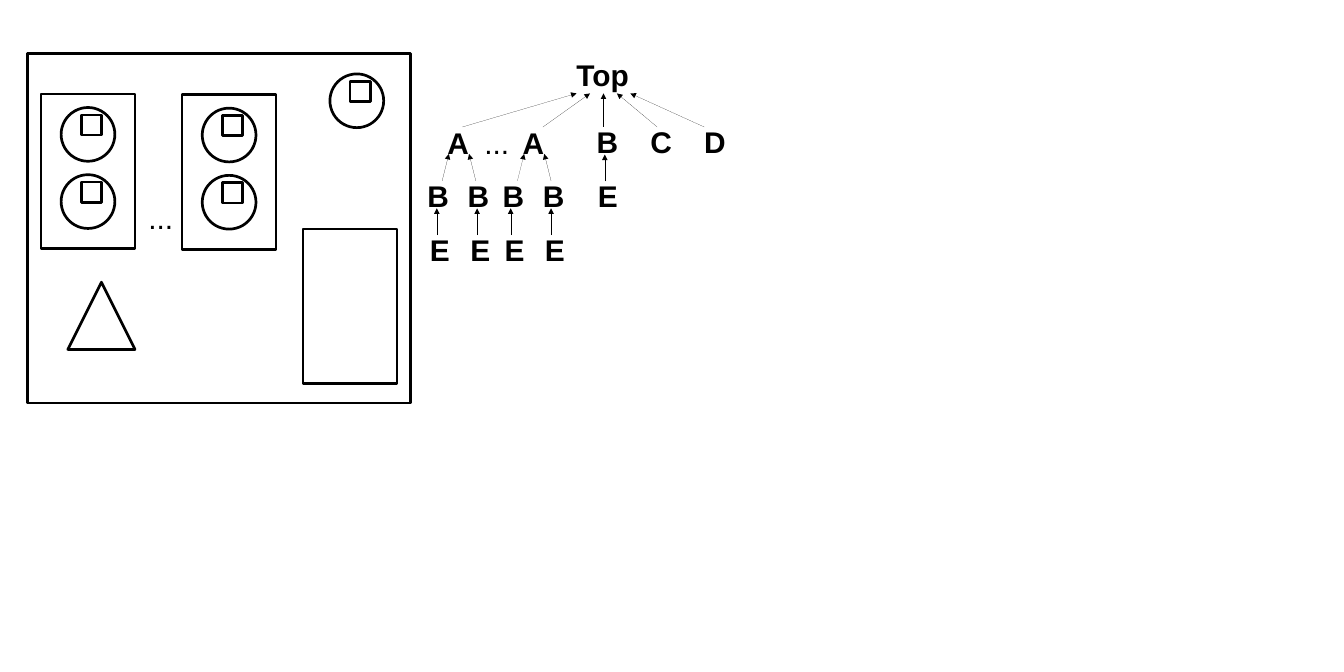
from dataclasses import dataclass

from pptx import Presentation
from pptx import util as u
from pptx.dml.color import RGBColor
from pptx.enum import shapes, text
from pptx.oxml import parse_xml
from pptx.oxml.ns import nsdecls

BLACK = RGBColor(0, 0, 0)
FONT = "Arial"
CELL = 2.54  # centimetres in one grid unit
RECT = shapes.MSO_SHAPE.RECTANGLE
OVAL = shapes.MSO_SHAPE.OVAL
TRIANGLE = shapes.MSO_SHAPE.ISOSCELES_TRIANGLE


@dataclass
class Outline:
    kind: shapes.MSO_SHAPE
    left: float
    top: float
    width: float
    height: float


@dataclass
class Label:
    words: str
    left: float
    top: float
    width: float = 0.52
    height: float = 0.6
    bold: bool = True
    wrap: bool = True


@dataclass
class Arrow:
    x1: float
    y1: float
    x2: float
    y2: float


def grid(units: float) -> u.Cm:
    return u.Cm(units * CELL)


def draw_outline(parent, item: Outline) -> None:
    shape = parent.add_shape(item.kind, grid(item.left), grid(item.top),
                             grid(item.width), grid(item.height))
    shape.shadow.inherit = False
    shape.fill.background()
    shape.line.color.rgb = BLACK
    shape.line.width = u.Pt(2.89)


def draw_label(parent, item: Label) -> None:
    box = parent.add_textbox(grid(item.left), grid(item.top),
                             grid(item.width), grid(item.height))
    frame = box.text_frame
    frame.word_wrap = item.wrap
    frame.auto_size = text.MSO_AUTO_SIZE.SHAPE_TO_FIT_TEXT
    span = frame.paragraphs[0].add_run()
    span.text = item.words
    span.font.name = FONT
    span.font.size = u.Pt(32)
    span.font.bold = item.bold
    span.font.color.rgb = BLACK


def draw_arrow(parent, item: Arrow) -> None:
    arrow = parent.add_connector(shapes.MSO_CONNECTOR.STRAIGHT, grid(item.x1), grid(item.y1),
                                 grid(item.x2), grid(item.y2))
    arrow.line.color.rgb = BLACK
    stroke = arrow.line._get_or_add_ln()
    stroke.set("w", "0")  # hairline; a width of 0 set by line.width is not written
    stroke.append(parse_xml(f'<a:tailEnd {nsdecls("a")} type="triangle"/>'))
    arrow._element.spPr.append(parse_xml(f'<a:effectLst {nsdecls("a")}/>'))


# Outlines: rectangles, a triangle, and circles that each hold a square
CIRCLES = [(0.91, 1.6), (0.91, 2.6), (3.01, 1.61), (3.01, 2.61), (4.91, 1.1)]
OUTLINES = [
    Outline(RECT, 0.41, 0.8, 5.7, 5.2),
    Outline(RECT, 0.61, 1.4, 1.4, 2.3),
    Outline(RECT, 2.71, 1.41, 1.4, 2.3),
    Outline(RECT, 4.51, 3.41, 1.4, 2.3),
    Outline(TRIANGLE, 1.01, 4.2, 1, 1),
    *[Outline(OVAL, x, y, 0.8, 0.8) for x, y in CIRCLES],
    *[Outline(RECT, x + 0.3, y + 0.11, 0.3, 0.3) for x, y in CIRCLES],
]

# Tree: each row gives a letter, its top and its left edges
ROWS = [
    ("A", 1.8, (6.56, 7.68)),
    ("B", 1.79, (8.78,)),
    ("C", 1.79, (9.58,)),
    ("D", 1.79, (10.38,)),
    ("B", 2.6, (6.26, 6.86, 7.38, 7.98)),
    ("E", 2.6, (8.8,)),
    ("E", 3.4, (6.3, 6.9, 7.41, 8.01)),
]
LABELS = [
    Label("Top", 8.48, 0.8, width=1),
    Label("...", 7.11, 1.81, width=0.57, bold=False),
    *[Label(letter, x, top) for letter, top, lefts in ROWS for x in lefts],
]
TO_TOP = [6.88, 8.08, 8.98, 9.78, 10.48]
TO_A = [(6.58, 6.68), (7.08, 6.98), (7.7, 7.8), (8.2, 8.1)]
ARROWS = [
    *[Arrow(x, 1.89, 8.58 + 0.2 * i, 1.39) for i, x in enumerate(TO_TOP)],
    *[Arrow(start, 2.69, end, 2.29) for start, end in TO_A],
    *[Arrow(x, 3.5, x, 3.1) for x in (6.5, 7.1, 7.6, 8.2)],
    Arrow(9, 2.7, 9, 2.3),
]


def main() -> None:
    deck = Presentation()
    deck.slide_width, deck.slide_height = grid(20), grid(10)
    page = deck.slides.add_slide(deck.slide_layouts[6])

    # Grouped outlines on the left
    group = page.shapes.add_group_shape().shapes
    for outline in OUTLINES:
        draw_outline(group, outline)
    draw_label(group, Label("...", 2.11, 2.92, width=0.57, bold=False, wrap=False))

    # Tree on the right
    for label in LABELS:
        draw_label(page.shapes, label)
    for arrow in ARROWS:
        draw_arrow(page.shapes, arrow)

    deck.save("out.pptx")


if __name__ == "__main__":
    main()
